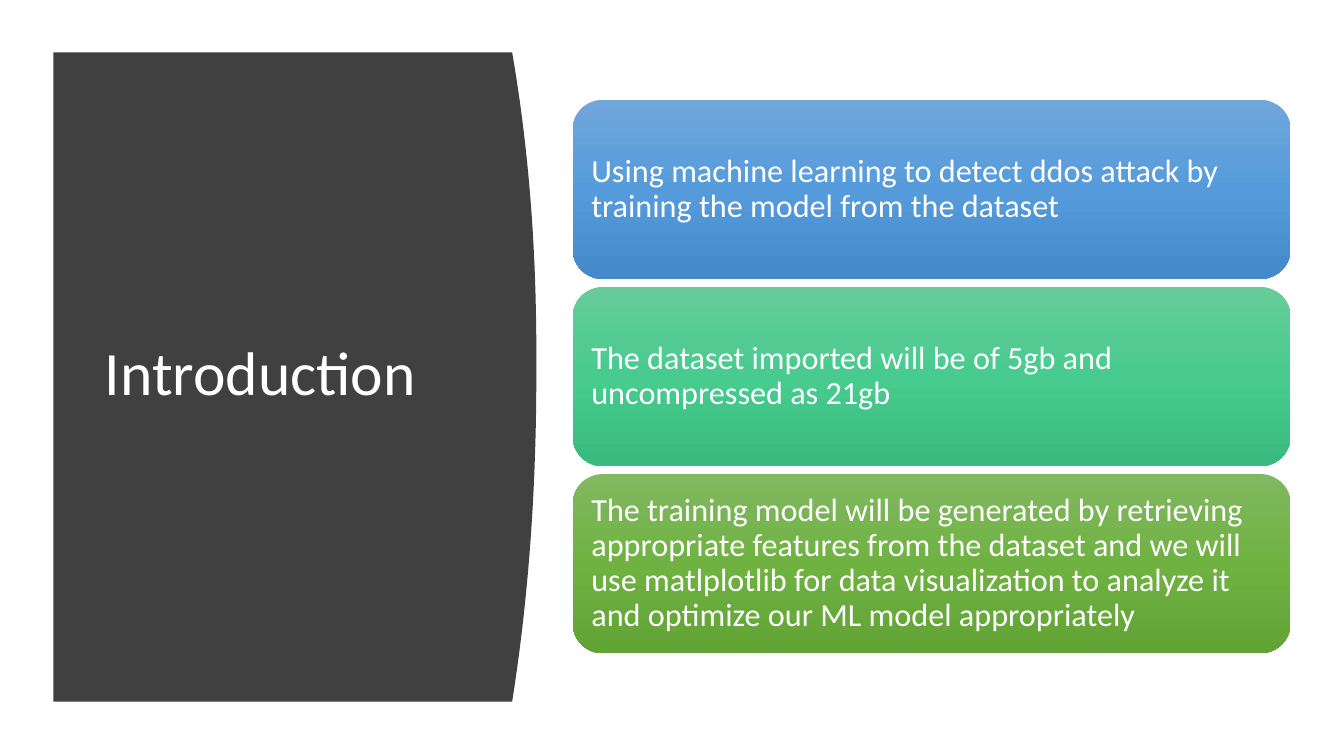
from copy import deepcopy

from pptx import Presentation
from pptx.dml.color import RGBColor
from pptx.enum.shapes import MSO_SHAPE as Shape
from pptx.enum.text import MSO_ANCHOR as Anchor, MSO_AUTO_SIZE as Fit, PP_ALIGN as Align
from pptx.oxml.ns import qn
from pptx.util import Pt

SCALE = 9144  # 100 px to the inch
CARDS = [
    ("Using machine learning to detect ddos attack by training the model "
     "from the dataset", ("71A6DB", "559BDB", "448ACA")),
    ("The dataset imported will be of 5gb and uncompressed as 21gb",
     ("67CC9A", "47CB8E", "39BB7F")),
    ("The training model will be generated by retrieving appropriate features "
     "from the dataset and we will use matlplotlib for data visualization to "
     "analyze it and optimize our ML model appropriately",
     ("81B861", "6FB242", "62A336")),
]


def px(n):
    return round(n * SCALE)


def color(code):
    return RGBColor.from_string(code)


def place(shape, left, top, width, height):
    shape.left, shape.top = px(left), px(top)
    shape.width, shape.height = px(width), px(height)


def write(frame, text, size, inset):
    """Fill a text frame with one left-aligned white run."""
    frame.word_wrap = True
    frame.auto_size = Fit.NONE
    frame.vertical_anchor = Anchor.MIDDLE
    frame.margin_left = frame.margin_right = px(inset)
    frame.margin_top = frame.margin_bottom = px(inset)
    para = frame.paragraphs[0]
    para.alignment = Align.LEFT
    para.line_spacing = 0.9
    run = para.add_run()
    run.text = text
    run.font.name = "Calibri"
    run.font.size = Pt(size)
    run.font.color.rgb = color("FFFFFF")


def shade(shape, codes):
    """Give a shape an even gradient that runs downwards."""
    fill = shape.fill
    fill.gradient()
    fill.gradient_angle = 270
    stops = shape.element.spPr.find(".//" + qn("a:gsLst"))
    while len(stops) < len(codes):
        stops.append(deepcopy(stops[0]))
    for i, (stop, code) in enumerate(zip(fill.gradient_stops, codes)):
        stop.color.rgb = color(code)
        stop.position = i / (len(codes) - 1)


def panel(slide, left, top, width, height):
    """Dark panel with a bowed right side, and the title on it."""
    bow, peak, steps = 24, 308, 40
    edge = []
    for i in range(steps + 1):
        y = height * i / steps
        reach = peak if y < peak else height - peak
        x = width - bow * (abs(y - peak) / reach) ** 2.2
        edge.append((px(left + x), px(top + y)))
    path = slide.shapes.build_freeform(px(left), px(top), scale=1.0)
    path.add_line_segments(edge + [(px(left), px(top + height))], close=True)
    back = path.convert_to_shape()
    back.shadow.inherit = False
    back.fill.solid()
    back.fill.fore_color.rgb = color("404040")
    back.line.fill.background()

    title = slide.shapes.title
    place(title, left + 41, top + 59, 374, 524)
    write(title.text_frame, "Introduction", 44, 10)
    title.element.addprevious(back.element)


def stack(slide, left, top, width, height):
    """Column of equal cards."""
    gap = 8
    tall = (height - gap * (len(CARDS) - 1)) / len(CARDS)
    for i, (text, codes) in enumerate(CARDS):
        card = slide.shapes.add_shape(Shape.ROUNDED_RECTANGLE, 0, 0, 0, 0)
        place(card, left, top + i * (tall + gap), width, tall)
        card.shadow.inherit = False
        card.line.fill.background()
        shade(card, codes)
        write(card.text_frame, text, 23, 10)


def main():
    deck = Presentation()
    deck.slide_width, deck.slide_height = px(1333), px(750)
    slide = deck.slides.add_slide(deck.slide_layouts[5])
    panel(slide, 53, 52, 479, 644)
    stack(slide, 568, 99, 712, 549)
    deck.save("out.pptx")


if __name__ == "__main__":
    main()
